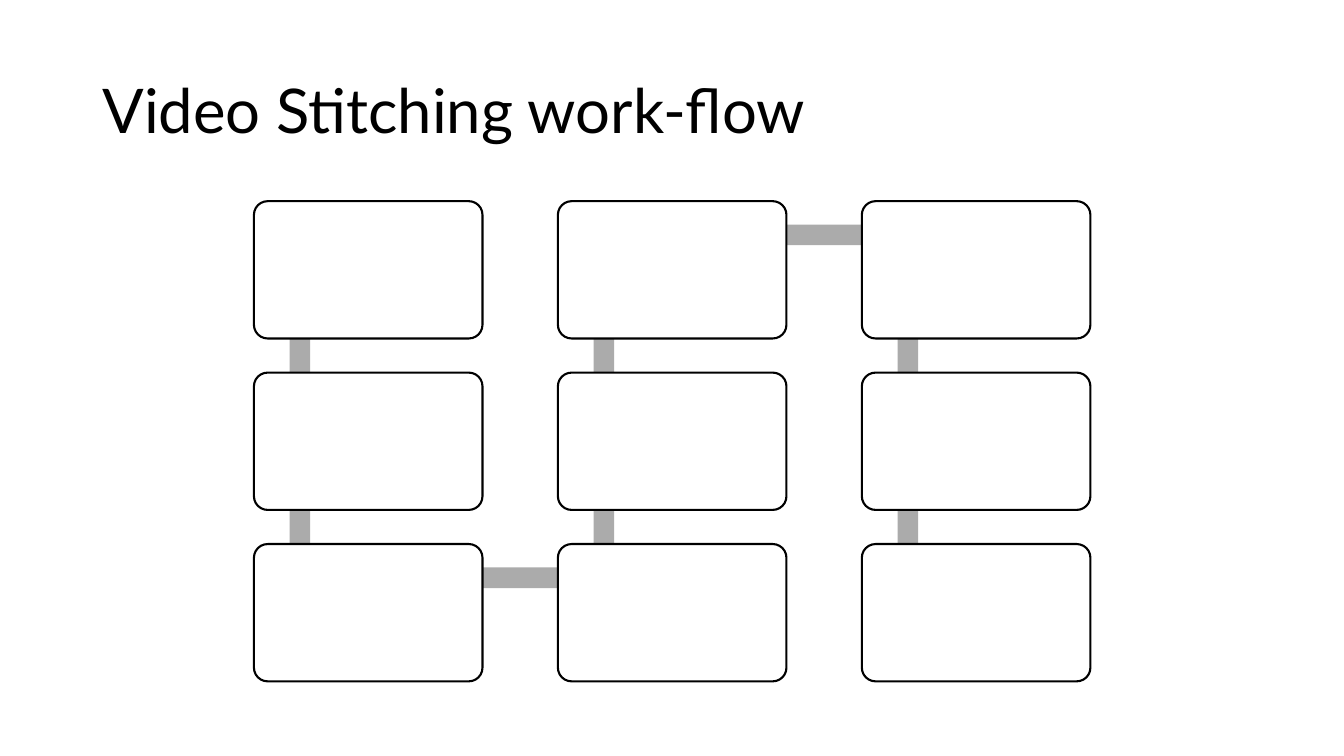
from dataclasses import dataclass
from itertools import pairwise

import pptx
import pptx.dml.color
import pptx.enum.shapes
import pptx.enum.text
import pptx.util

Cm = pptx.util.Cm
Pt = pptx.util.Pt
RGB = pptx.dml.color.RGBColor
SHAPE = pptx.enum.shapes.MSO_SHAPE


@dataclass(frozen=True)
class Theme:
    font: str = "Lato"
    title_size: int = 44
    ink: RGB = RGB(0x00, 0x00, 0x00)
    paper: RGB = RGB(0xFF, 0xFF, 0xFF)
    path_grey: RGB = RGB(0xAB, 0xAB, 0xAB)
    outline_width: float = 1.5


THEME = Theme()
COLUMNS, ROWS = 3, 3
STEP_WIDTH, STEP_HEIGHT = 5.76, 3.46
BAR_THICKNESS = 0.52
BAR_INSET_X, BAR_INSET_Y = 1.16, 0.85


def add_title(slide, left, top, width, height, wording):
    title = slide.shapes.add_textbox(Cm(left), Cm(top), Cm(width), Cm(height))
    frame = title.text_frame
    frame.word_wrap = True
    frame.vertical_anchor = pptx.enum.text.MSO_ANCHOR.MIDDLE
    heading = frame.paragraphs[0]
    heading.text = wording
    heading.line_spacing = 0.9
    heading.font.name = THEME.font
    heading.font.size = Pt(THEME.title_size)
    heading.font.color.rgb = THEME.ink


def add_filled(shapes, kind, left, top, width, height, color):
    shape = shapes.add_shape(kind, Cm(left), Cm(top), Cm(width), Cm(height))
    shape.shadow.inherit = False
    shape.fill.solid()
    shape.fill.fore_color.rgb = color
    shape.line.fill.background()
    return shape


def add_bar(shapes, start, end):
    """Link two steps, running between the same inset point of each."""
    (x1, y1), (x2, y2) = start, end
    across = abs(x2 - x1)
    down = abs(y2 - y1)
    add_filled(
        shapes, SHAPE.RECTANGLE,
        min(x1, x2) + BAR_INSET_X - (0 if across else BAR_THICKNESS / 2),
        min(y1, y2) + BAR_INSET_Y - (0 if down else BAR_THICKNESS / 2),
        across or BAR_THICKNESS, down or BAR_THICKNESS, THEME.path_grey)


def add_step(shapes, left, top):
    step = add_filled(shapes, SHAPE.ROUNDED_RECTANGLE, left, top,
                      STEP_WIDTH, STEP_HEIGHT, THEME.paper)
    step.adjustments[0] = 0.1
    step.line.color.rgb = THEME.ink
    step.line.width = Pt(THEME.outline_width)


def add_workflow(slide, left, top, width, height):
    """Steps run down the first column, up the second and down the third."""
    pitch_x = (width - STEP_WIDTH) / (COLUMNS - 1)
    pitch_y = (height - STEP_HEIGHT) / (ROWS - 1)
    corners = []
    for column in range(COLUMNS):
        rows = range(ROWS) if column % 2 == 0 else reversed(range(ROWS))
        corners += [(left + column * pitch_x, top + row * pitch_y)
                    for row in rows]

    workflow = slide.shapes.add_group_shape().shapes
    for start, end in pairwise(corners):
        add_bar(workflow, start, end)
    for corner in corners:
        add_step(workflow, *corner)


def main():
    deck = pptx.Presentation()
    deck.slide_width, deck.slide_height = Cm(33.87), Cm(19.05)
    slide = deck.slides.add_slide(deck.slide_layouts[6])
    add_title(slide, 2.33, 1.01, 29.21, 3.68, "Video Stitching work-flow")
    add_workflow(slide, 6.4, 5.07, 21.08, 12.1)
    deck.save("out.pptx")


if __name__ == "__main__":
    main()
